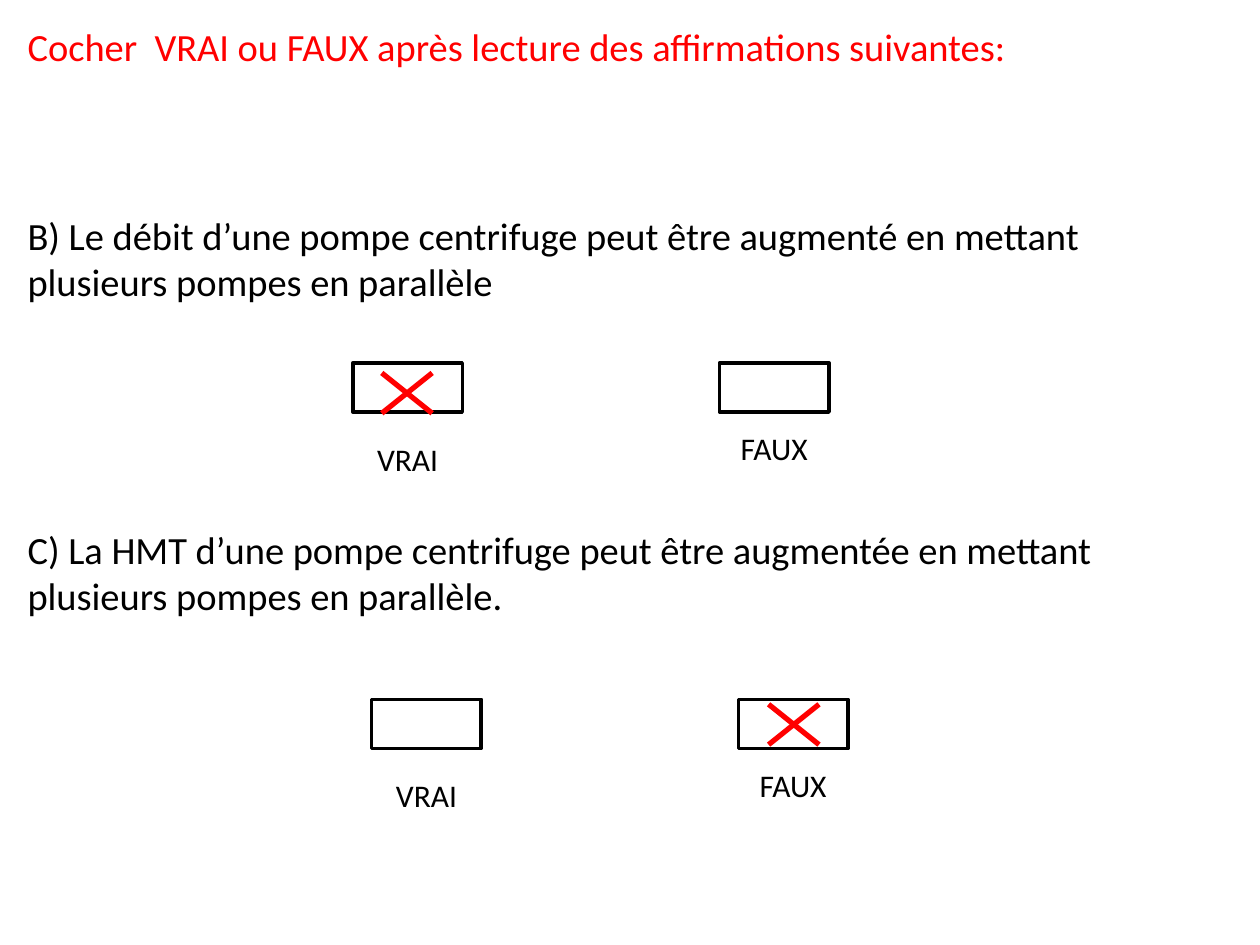
from lxml import etree
from pptx import Presentation
from pptx import util as u
from pptx.dml.color import RGBColor
from pptx.enum import shapes, text
from pptx.oxml.ns import qn

BLACK, RED = "000000", "FF0000"


def colour(value):
    return RGBColor.from_string(value)


class Quiz:
    """Holds the style and the current page."""
    font = "Calibri"
    box_size = (0.87, 0.39)
    cross_size = (0.4, 0.32)

    def __init__(self, page):
        self.page = page

    def text(self, parent, area, lines, size, align=text.PP_ALIGN.LEFT):
        """Each line is (wording, colour, space before in points)."""
        box = parent.add_textbox(*map(u.Inches, area))
        frame = box.text_frame
        frame.word_wrap = True
        frame.auto_size = text.MSO_AUTO_SIZE.SHAPE_TO_FIT_TEXT
        frame.text = "\n".join(wording for wording, _, _ in lines)
        for para, (_, ink, before) in zip(frame.paragraphs, lines):
            para.alignment = align
            if before:
                para.space_before = u.Pt(before)
            for span in para.runs:
                span.font.name = self.font
                span.font.size = u.Pt(size)
                span.font.color.rgb = colour(ink)

    def tick_box(self, parent, left, top):
        area = (left, top, *self.box_size)
        box = parent.add_shape(shapes.MSO_SHAPE.RECTANGLE, *map(u.Inches, area))
        box.shadow.inherit = False
        box.fill.background()
        box.line.color.rgb = colour(BLACK)
        box.line.width = u.Pt(2)

    def answers(self, top, choices):
        """Each choice is (label, left edge, label offset below the box top)."""
        group = self.page.shapes.add_group_shape().shapes
        for label, left, offset in choices:
            self.tick_box(group, left, top)
            area = (left, top + offset, self.box_size[0], 0.4)
            self.text(group, area, [(label, BLACK, 0)], 18, text.PP_ALIGN.CENTER)

    def cross(self, left, top):
        group = self.page.shapes.add_group_shape().shapes
        width, height = self.cross_size
        right, bottom = left + width, top + height
        for start, end in ((left, right), (right, left)):
            stroke = group.add_connector(
                shapes.MSO_CONNECTOR.STRAIGHT,
                *map(u.Inches, (start, top, end, bottom)))
            stroke.line.color.rgb = colour(RED)
            stroke.line.width = u.Pt(3)
            etree.SubElement(stroke._element.spPr, qn("a:effectLst"))


def main():
    deck = Presentation()
    deck.slide_width, deck.slide_height = u.Inches(10), u.Inches(7.5)
    page = deck.slides.add_slide(deck.slide_layouts[6])
    quiz = Quiz(page)

    # Instruction and statements
    quiz.text(page.shapes, (0.12, 0.13, 9.61, 5.97), [
        ("Cocher  VRAI ou FAUX après lecture des affirmations suivantes:", RED, 0),
        ("B) Le débit d’une pompe centrifuge peut être augmenté en mettant "
         "plusieurs pompes en parallèle", BLACK, 82),
        ("C) La HMT d’une pompe centrifuge peut être augmentée en mettant "
         "plusieurs pompes en parallèle.", BLACK, 126.5),
    ], 22)

    # Answer boxes
    for left, top in ((2.8, 2.88), (2.95, 5.55)):
        quiz.answers(top, [("VRAI", left, 0.56), ("FAUX", left + 2.91, 0.48)])

    # Correct answers
    quiz.cross(3.03, 2.96)
    quiz.cross(6.1, 5.59)

    deck.save("out.pptx")


if __name__ == "__main__":
    main()
